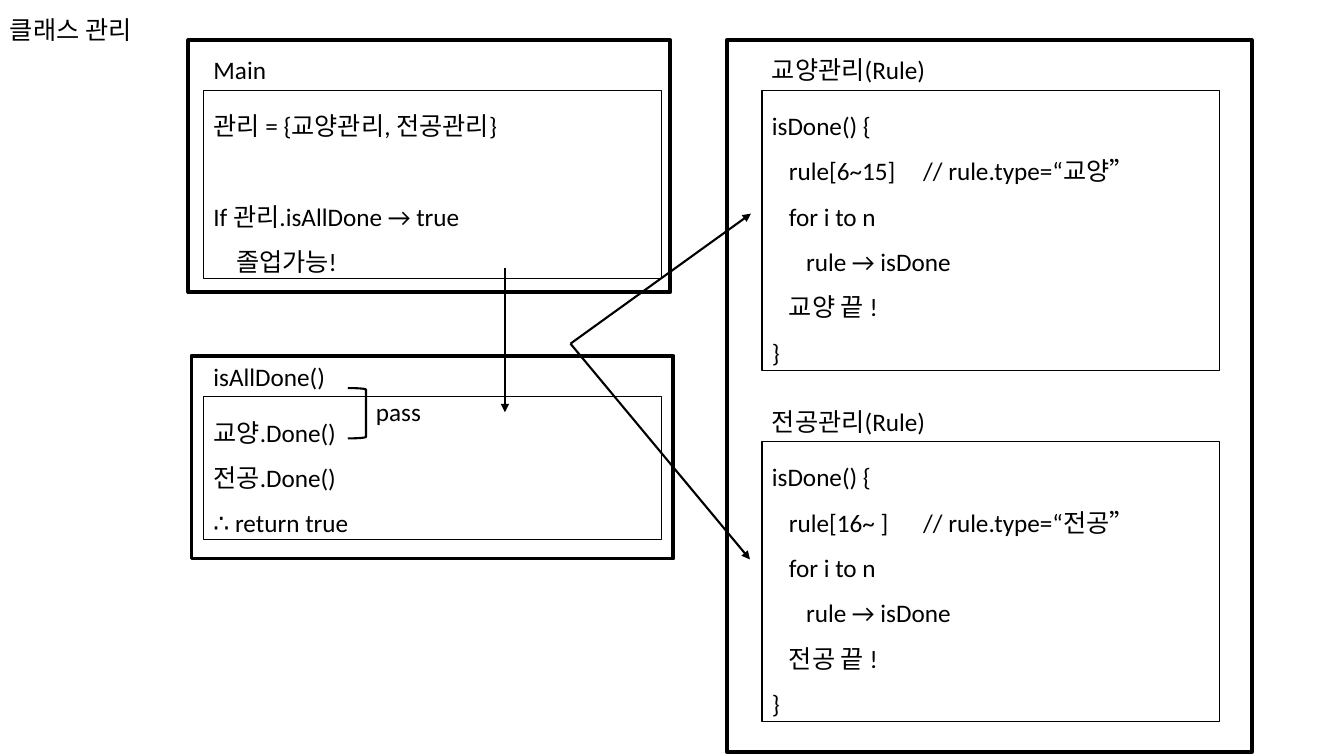
import pptx
import pptx.util
import pptx.dml.color
import pptx.enum.shapes
import pptx.enum.text
import pptx.oxml
from pptx.enum.shapes import MSO_SHAPE
from pptx.util import Pt

BLACK = pptx.dml.color.RGBColor(0, 0, 0)
FONT = "Calibri"
FONT_SIZE = 18
CODE_WIDTH = 327
LABEL_HEIGHT = 28.8
BLANK_LINE = 32.5  # height of one skipped code line


def rule_code(subject, numbers):
    return [
        "isDone() {",
        f"   rule[{numbers}]\t// rule.type=“{subject}”",
        "   for i to n",
        "      rule → isDone",
        f"   {subject} 끝 !",
        "}",
    ]


# Content: heading, heading width, left, code top, code height, code lines
modules_of_code = [
    ("Main", 52.6, 145.4, 64.4, 134.6,
     ["관리 = {교양관리, 전공관리}", "If 관리.isAllDone → true", "    졸업가능!"]),
    ("isAllDone()", 95, 145.4, 283.4, 102.2,
     ["교양.Done()", "전공.Done()", "∴ return true"]),
    ("교양관리(Rule)", 131, 544.3, 64.4, 200.2, rule_code("교양", "6~15")),
    ("전공관리(Rule)", 131, 544.3, 315.4, 200.2, rule_code("전공", "16~ ")),
]
line_after_gap = "If 관리.isAllDone → true"

# Labels: text, left, top, width
labels = [("클래스 관리", 0, 6.5, 109.4), ("pass", 261.4, 279.4, 46.8)]

# Frames: left, top, width, height
frames = [
    (519.1, 28.8, 375.1, 508.3),
    (134.6, 28.8, 344.2, 180),
    (136.8, 254.2, 344.2, 144.7),
]
pass_bracket = (248.4, 277.2, 13, 36)

# Arrows: start, end
fork = (407.5, 245.5)
arrows = [
    ((360.7, 191.5), (360.7, 294.5)),
    (fork, (536.4, 152.6)),
    (fork, (535.7, 399.6)),
]

presentation = pptx.Presentation()
presentation.slide_width = Pt(960)
presentation.slide_height = Pt(540)
slide = presentation.slides.add_slide(presentation.slide_layouts[6])


def style(paragraph):
    paragraph.alignment = pptx.enum.text.PP_ALIGN.LEFT
    paragraph.font.name = FONT
    paragraph.font.size = Pt(FONT_SIZE)
    paragraph.font.color.rgb = BLACK


def add_outline(kind, bounds, weight):
    outline = slide.shapes.add_shape(kind, *map(Pt, bounds))
    outline.shadow.inherit = False
    outline.fill.background()
    outline.line.color.rgb = BLACK
    outline.line.width = Pt(weight)
    return outline


def add_label(text, left, top, width):
    label = slide.shapes.add_textbox(Pt(left), Pt(top), Pt(width), Pt(LABEL_HEIGHT))
    frame = label.text_frame
    frame.word_wrap = False
    frame.auto_size = pptx.enum.text.MSO_AUTO_SIZE.SHAPE_TO_FIT_TEXT
    frame.text = text
    style(frame.paragraphs[0])


def add_code(lines, bounds):
    frame = add_outline(MSO_SHAPE.RECTANGLE, bounds, 0.75).text_frame
    frame.word_wrap = True
    frame.vertical_anchor = pptx.enum.text.MSO_ANCHOR.TOP
    frame.text = "\n".join(lines)
    for line, paragraph in zip(lines, frame.paragraphs):
        paragraph.line_spacing = 1.5
        if line == line_after_gap:
            paragraph.space_before = Pt(BLANK_LINE)
        style(paragraph)


def add_arrow(start, end):
    arrow = slide.shapes.add_connector(
        pptx.enum.shapes.MSO_CONNECTOR.STRAIGHT, *map(Pt, start + end))
    arrow.line.color.rgb = BLACK
    arrow.line.width = Pt(1.5)
    namespace = 'xmlns:a="http://schemas.openxmlformats.org/drawingml/2006/main"'
    arrow.line._get_or_add_ln().append(
        pptx.oxml.parse_xml(f'<a:tailEnd {namespace} type="triangle"/>'))
    arrow._element.spPr.append(pptx.oxml.parse_xml(f"<a:effectLst {namespace}/>"))


# Code boxes with their headings
for heading, heading_width, left, top, height, lines in modules_of_code:
    add_code(lines, (left, top, CODE_WIDTH, height))
    add_label(heading, left, top - LABEL_HEIGHT, heading_width)

# Bracket and free labels
add_outline(MSO_SHAPE.RIGHT_BRACKET, pass_bracket, 1.5)
for label in labels:
    add_label(*label)

# Outer frames and call arrows
for bounds in frames:
    add_outline(MSO_SHAPE.RECTANGLE, bounds, 2.75)
for start, end in arrows:
    add_arrow(start, end)

presentation.save("out.pptx")
